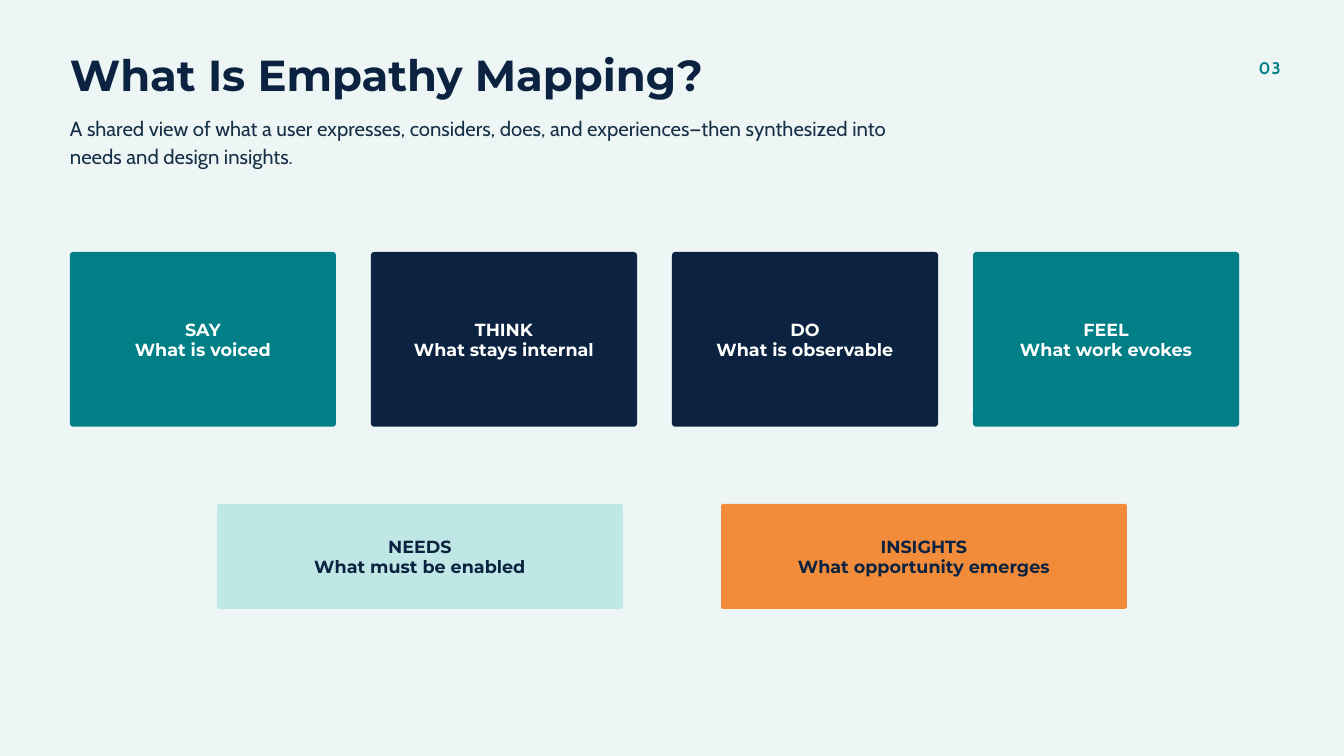
from pptx import Presentation
from pptx.dml.color import RGBColor
from pptx.enum import shapes, text
from pptx.util import Inches, Pt

COLORS = {
    "background": "EEF5F5",
    "navy": "0B2340",
    "ink": "163047",
    "teal": "007F86",
    "mint": "BFE7E5",
    "orange": "F28C3A",
    "white": "FFFFFF",
}
QUADRANTS = [
    ("SAY", "What is voiced", "teal"),
    ("THINK", "What stays internal", "navy"),
    ("DO", "What is observable", "navy"),
    ("FEEL", "What work evokes", "teal"),
]
OUTCOMES = [
    ("NEEDS", "What must be enabled", "mint"),
    ("INSIGHTS", "What opportunity emerges", "orange"),
]


def color(name):
    return RGBColor.from_string(COLORS[name])


def write(frame, lines, font="Montserrat", size=18.8, fill="navy", bold=True,
          align=text.PP_ALIGN.LEFT, leading=20.6, tracking=0,
          margins=(0, 0, 0, 0), anchor=text.MSO_ANCHOR.TOP):
    frame.word_wrap = True
    frame.vertical_anchor = anchor
    (frame.margin_left, frame.margin_top,
     frame.margin_right, frame.margin_bottom) = map(Inches, margins)
    for index, line in enumerate(lines):
        paragraph = frame.add_paragraph() if index else frame.paragraphs[0]
        paragraph.alignment = align
        paragraph.line_spacing = Pt(leading)
        run = paragraph.add_run()
        run.text = line
        run.font.name = font
        run.font.size = Pt(size)
        run.font.bold = bold
        run.font.color.rgb = color(fill)
        if tracking:
            run._r.get_or_add_rPr().set("spc", str(round(tracking * 100)))


def add_text(slide, box, line, **style):
    shape = slide.shapes.add_textbox(*map(Inches, box))
    write(shape.text_frame, [line], **style)


def add_header(slide, left, top, width):
    add_text(slide, (left, top, 15.62, 0.69), "What Is Empathy Mapping?",
             size=46.5, leading=48.8)
    add_text(slide, (left + width - 0.73, top, 0.73, 0.34), "03",
             font="Cabin", size=18, fill="teal", leading=25.2, tracking=1.4,
             align=text.PP_ALIGN.RIGHT)
    add_text(slide, (left, top + 0.88, 12.92, 0.8),
             "A shared view of what a user expresses, considers, does, and "
             "experiences—then synthesized into needs and design insights.",
             font="Cabin", size=21.8, fill="ink", bold=False, leading=29.4)


def add_card(slide, box, lines, fill, text_fill, radius):
    card = slide.shapes.add_shape(
        shapes.MSO_SHAPE.ROUNDED_RECTANGLE, *map(Inches, box))
    card.adjustments[0] = radius / min(box[2:])
    card.shadow.inherit = False
    card.fill.solid()
    card.fill.fore_color.rgb = color(fill)
    card.line.fill.background()
    write(card.text_frame, lines, fill=text_fill,
          align=text.PP_ALIGN.CENTER, anchor=text.MSO_ANCHOR.MIDDLE,
          margins=(0.06, 0.09, 0.06, 0.06))


def add_card_row(slide, left, top, width, height, cards, gap, text_fill, radius):
    card_width = (width - gap * (len(cards) - 1)) / len(cards)
    for index, (heading, detail, fill) in enumerate(cards):
        box = (left + index * (card_width + gap), top, card_width, height)
        add_card(slide, box, [heading, detail], fill, text_fill, radius)


def main():
    presentation = Presentation()
    presentation.slide_width = Inches(20)
    presentation.slide_height = Inches(11.25)
    slide = presentation.slides.add_slide(presentation.slide_layouts[6])
    slide.background.fill.solid()
    slide.background.fill.fore_color.rgb = color("background")
    add_header(slide, 1.04, 0.81, 18.02)
    add_card_row(slide, 1.04, 3.75, 17.4, 2.6, QUADRANTS,
                 gap=0.52, text_fill="white", radius=0.05)
    add_card_row(slide, 3.23, 7.5, 13.54, 1.56, OUTCOMES,
                 gap=1.46, text_fill="navy", radius=0.03)
    presentation.save("out.pptx")


if __name__ == "__main__":
    main()
